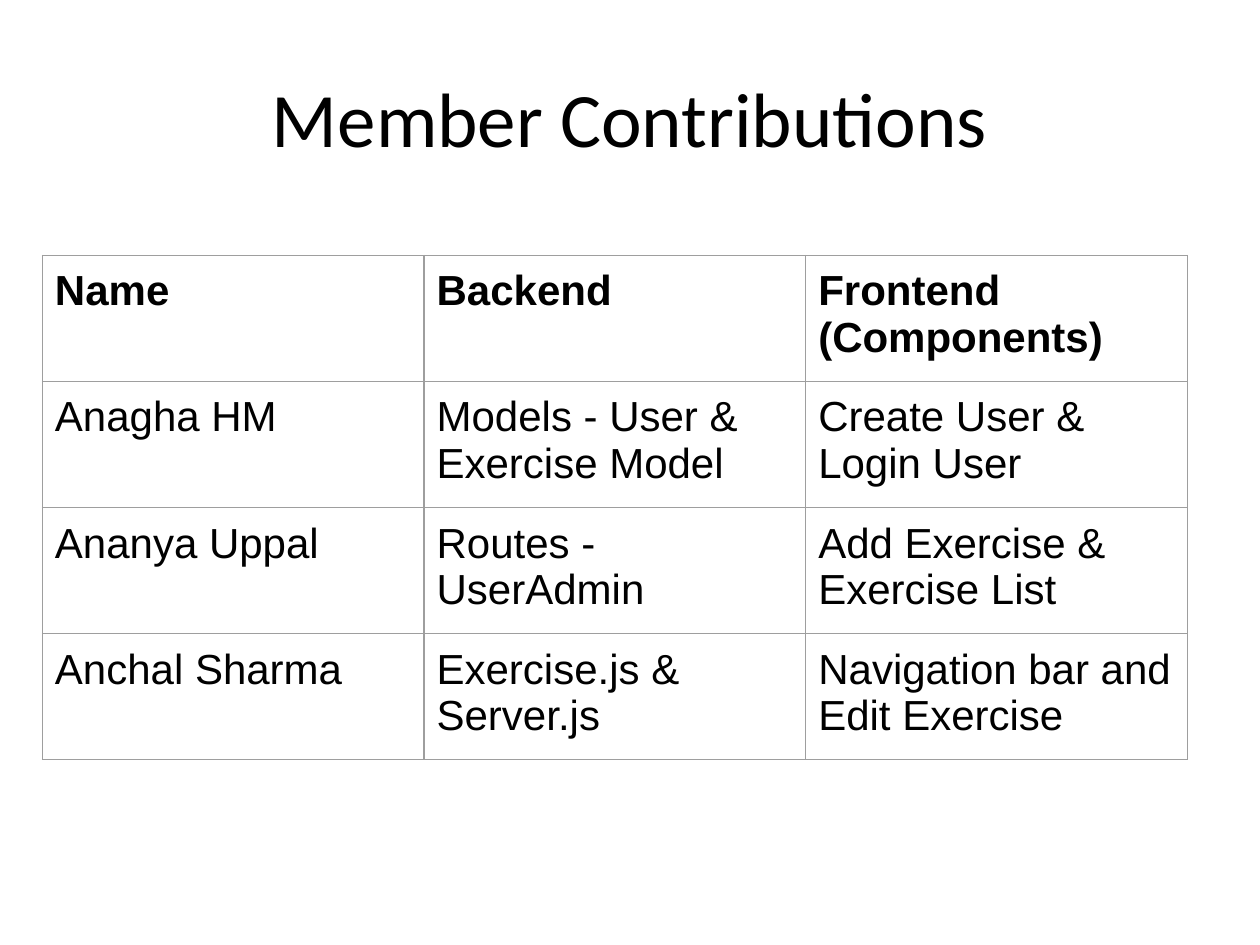
from lxml import etree
from pptx import Presentation
from pptx.dml.color import RGBColor
from pptx.enum import text
from pptx.oxml import ns
from pptx.util import Pt

HEADER = ["Name", "Backend", "Frontend\n(Components)"]
MEMBERS = [
    ["Anagha HM", "Models - User & Exercise Model", "Create User & Login User"],
    ["Ananya Uppal", "Routes - UserAdmin", "Add Exercise & Exercise List"],
    ["Anchal Sharma", "Exercise.js & Server.js", "Navigation bar and Edit Exercise"],
]


def color(value):
    return RGBColor.from_string(value)


class Page:
    ink = "000000"
    paper = "FFFFFF"
    rule = "9E9E9E"
    title_font, title_size = "Calibri", 44
    cell_font, cell_size = "Arial", 24
    cell_margin = 7.2

    def __init__(self, deck):
        self.slide = deck.slides.add_slide(deck.slide_layouts[6])

    def format_text(self, frame, font, size, align, bold=False):
        for para in frame.paragraphs:
            para.alignment = align
            for span in para.runs:
                span.font.name = font
                span.font.size = Pt(size)
                span.font.bold = bold
                span.font.color.rgb = color(self.ink)

    def title(self, words, left, top, width, height):
        box = self.slide.shapes.add_textbox(Pt(left), Pt(top), Pt(width), Pt(height))
        frame = box.text_frame
        frame.word_wrap = True
        frame.vertical_anchor = text.MSO_ANCHOR.MIDDLE
        frame.text = words
        self.format_text(frame, self.title_font, self.title_size, text.PP_ALIGN.CENTER)

    def borders(self, cell):
        """Rule all four sides; called before the fill, which must follow the lines."""
        properties = cell._tc.get_or_add_tcPr()
        for side in ("a:lnL", "a:lnR", "a:lnT", "a:lnB"):
            line = etree.SubElement(properties, ns.qn(side), w=str(Pt(0.75)))
            fill = etree.SubElement(line, ns.qn("a:solidFill"))
            etree.SubElement(fill, ns.qn("a:srgbClr"), val=self.rule)

    def table(self, rows, left, top, column_width, row_height):
        columns = len(rows[0])
        table = self.slide.shapes.add_table(
            len(rows), columns, Pt(left), Pt(top),
            Pt(column_width * columns), Pt(row_height * len(rows))).table
        table.horz_banding = False
        table.first_row = False
        for column in table.columns:
            column.width = Pt(column_width)
        for r, row in enumerate(rows):
            table.rows[r].height = Pt(row_height)
            for c, words in enumerate(row):
                self.cell(table.cell(r, c), words, bold=r == 0)

    def cell(self, cell, words, bold):
        cell.margin_left = cell.margin_right = Pt(self.cell_margin)
        cell.margin_top = cell.margin_bottom = Pt(self.cell_margin)
        self.borders(cell)
        cell.fill.solid()
        cell.fill.fore_color.rgb = color(self.paper)
        cell.text_frame.text = words
        self.format_text(cell.text_frame, self.cell_font, self.cell_size,
                         text.PP_ALIGN.LEFT, bold)


def main():
    deck = Presentation()
    deck.slide_width, deck.slide_height = Pt(720), Pt(540)
    page = Page(deck)
    page.title("Member Contributions", 36, 21.6, 648, 90)
    page.table([HEADER] + MEMBERS, 24.2, 145.9, 218.1, 60.48)
    deck.save("out.pptx")


if __name__ == "__main__":
    main()
